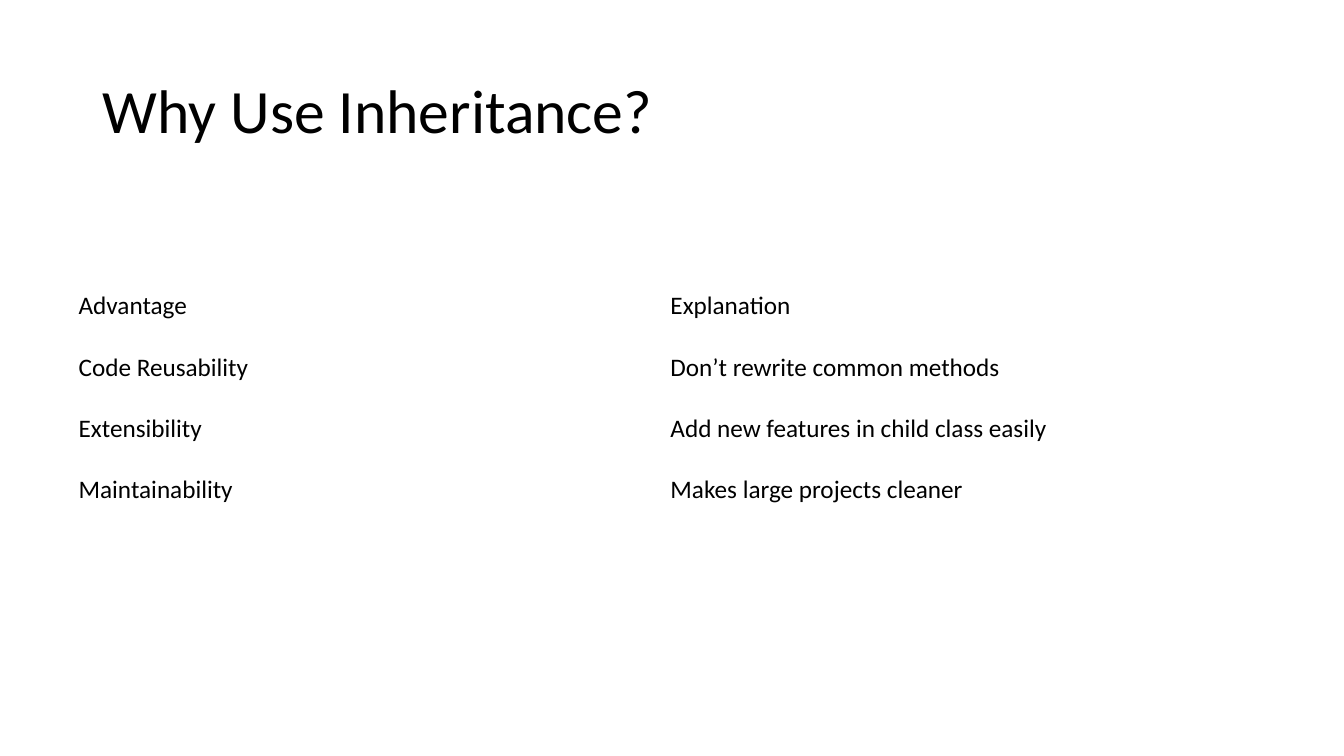
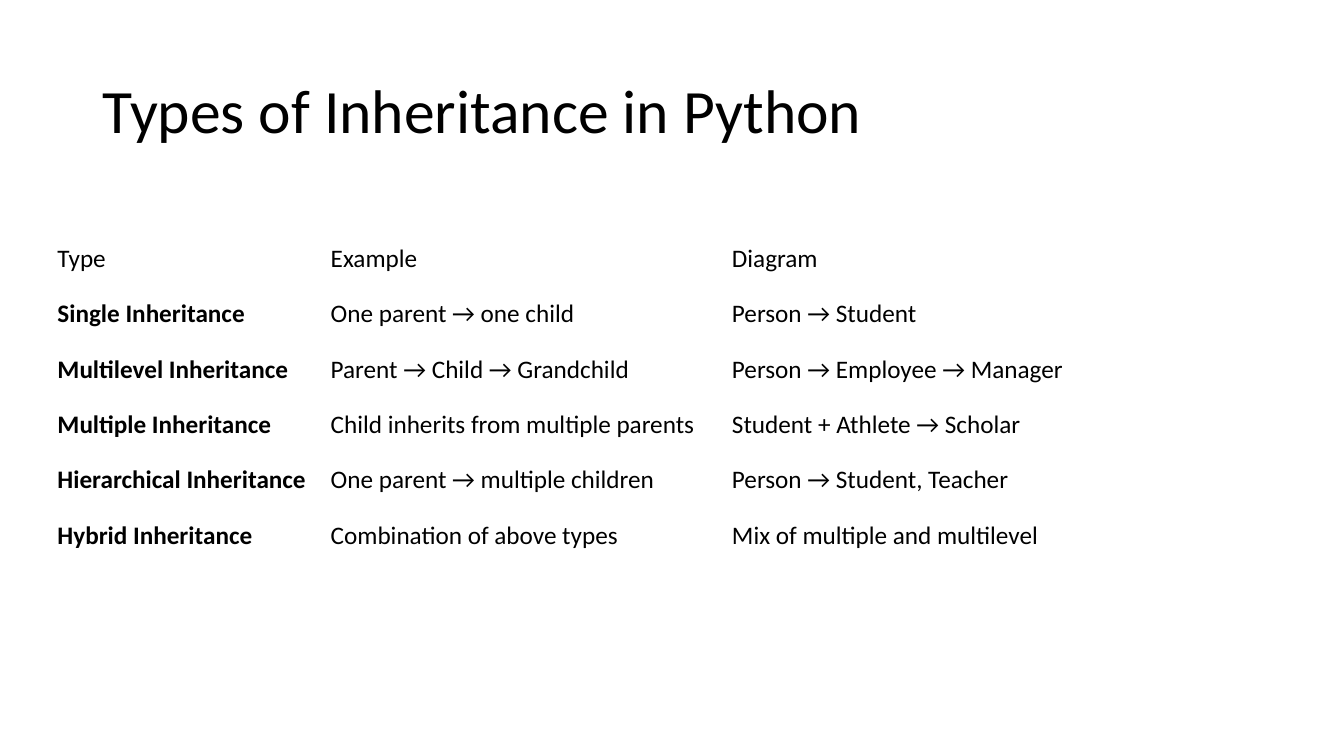
from pptx import Presentation
from pptx.dml.color import RGBColor
from pptx.enum.text import MSO_ANCHOR, MSO_AUTO_SIZE, PP_ALIGN
from pptx.util import Inches, Pt

COLORS = {"background": "FFFFFF", "text": "000000"}
FONT = "Calibri"
TITLE_SIZE, TABLE_SIZE = 44, 18
TITLE_BOX = (0.92, 0.4, 11.5, 1.45)
TITLE_ONLY = 5

SLIDES = [
    {
        "title": "Why Use Inheritance?",
        "origin": (0.68, 2.73),
        "columns": (5.87, 5.87),
        "row_height": 0.61,
        "bold_labels": False,
        "rows": [
            ("Advantage", "Explanation"),
            ("Code Reusability", "Don’t rewrite common methods"),
            ("Extensibility", "Add new features in child class easily"),
            ("Maintainability", "Makes large projects cleaner"),
        ],
    },
    {
        "title": "Types of Inheritance in Python",
        "origin": (0.47, 2.29),
        "columns": (2.71, 3.98, 3.98),
        "row_height": 0.55,
        "bold_labels": True,
        "rows": [
            ("Type", "Example", "Diagram"),
            ("Single Inheritance", "One parent → one child", "Person → Student"),
            ("Multilevel Inheritance", "Parent → Child → Grandchild",
             "Person → Employee → Manager"),
            ("Multiple Inheritance", "Child inherits from multiple parents",
             "Student + Athlete → Scholar"),
            ("Hierarchical Inheritance", "One parent → multiple children",
             "Person → Student, Teacher"),
            ("Hybrid Inheritance", "Combination of above types",
             "Mix of multiple and multilevel"),
        ],
    },
]


def write(frame, text, size, bold=False):
    frame.text = text
    paragraph = frame.paragraphs[0]
    paragraph.alignment = PP_ALIGN.LEFT
    font = paragraph.runs[0].font
    font.name, font.size, font.bold = FONT, Pt(size), bold
    font.color.rgb = RGBColor.from_string(COLORS["text"])
    return paragraph


def add_title(slide, text):
    title = slide.shapes.title
    title.left, title.top, title.width, title.height = map(Inches, TITLE_BOX)
    frame = title.text_frame
    write(frame, text, TITLE_SIZE).line_spacing = 0.9
    frame.auto_size = MSO_AUTO_SIZE.NONE
    frame.vertical_anchor = MSO_ANCHOR.MIDDLE


def add_comparison(slide, content):
    rows, columns = content["rows"], content["columns"]
    left, top = content["origin"]
    row_height = content["row_height"]
    table = slide.shapes.add_table(
        len(rows), len(columns), Inches(left), Inches(top),
        Inches(sum(columns)), Inches(row_height * len(rows))).table
    table.first_row = table.horz_banding = False
    for column, width in zip(table.columns, columns):
        column.width = Inches(width)
    for r, row in enumerate(rows):
        table.rows[r].height = Inches(row_height)
        for c, text in enumerate(row):
            cell = table.cell(r, c)
            cell.fill.background()
            cell.vertical_anchor = MSO_ANCHOR.MIDDLE
            is_label = r > 0 and c == 0
            write(cell.text_frame, text, TABLE_SIZE,
                  content["bold_labels"] and is_label)


def main():
    deck = Presentation()
    deck.slide_width, deck.slide_height = Inches(13.33), Inches(7.5)
    background = deck.slide_master.background.fill
    background.solid()
    background.fore_color.rgb = RGBColor.from_string(COLORS["background"])
    for content in SLIDES:
        slide = deck.slides.add_slide(deck.slide_layouts[TITLE_ONLY])
        add_title(slide, content["title"])
        add_comparison(slide, content)
    deck.save("out.pptx")


if __name__ == "__main__":
    main()
